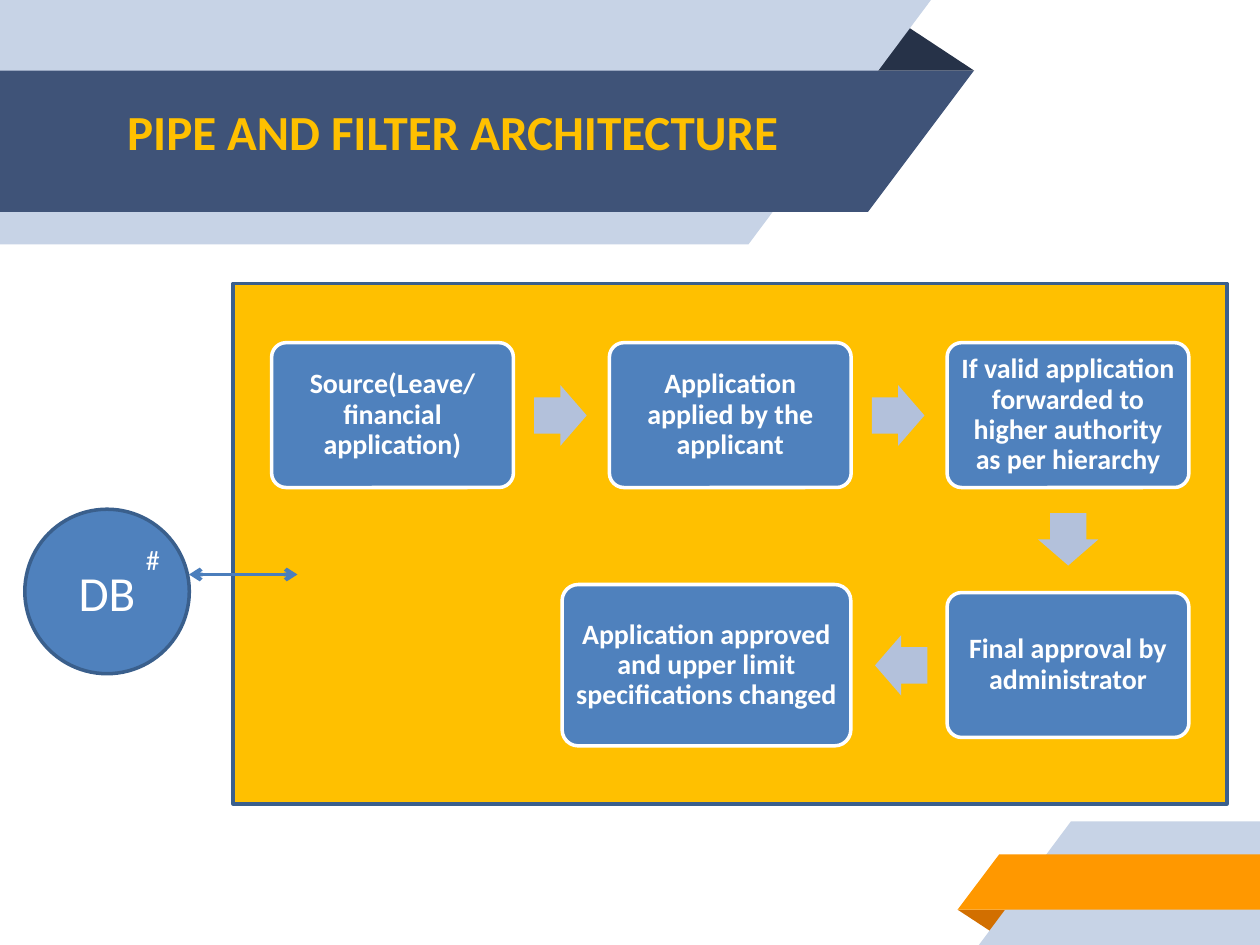
"""Build the pipe and filter architecture slide."""
from lxml import etree
from pptx import Presentation
from pptx.dml.color import RGBColor
from pptx.enum import shapes as kinds, text as layout
from pptx.oxml.ns import qn
from pptx.util import Pt


def color(value):
    """Turn a hex string into a colour."""
    return RGBColor.from_string(value)


def style(shape, fill, line=None, words="", inset=7.2, **font):
    """Paint a shape and set its centred text."""
    shape.shadow.inherit = False
    shape.fill.solid()
    shape.fill.fore_color.rgb = color(fill)
    if line:
        shape.line.color.rgb = color(line)
        shape.line.width = Pt(2)
    else:
        shape.line.fill.background()
    if words:
        frame = shape.text_frame
        frame.word_wrap = True
        frame.vertical_anchor = layout.MSO_ANCHOR.MIDDLE
        for side in ("left", "right", "top", "bottom"):
            setattr(frame, f"margin_{side}", Pt(inset))
        paragraph = frame.paragraphs[0]
        paragraph.text = words
        paragraph.alignment = layout.PP_ALIGN.CENTER
        paragraph.font.color.rgb = color("FFFFFF")
        for key, value in {"name": "Calibri", **font}.items():
            setattr(paragraph.font, key, value)


presentation = Presentation()
presentation.slide_width, presentation.slide_height = Pt(720), Pt(540)
slide = presentation.slides.add_slide(presentation.slide_layouts[5])
shapes = slide.shapes

ribbons = [
    ("263248", [(495.4, 40.3), (515.2, 13), (556.6, 40.3)]),
    ("C7D3E6", [(0, 0), (532, 0), (427.7, 139.7), (0, 139.7)]),
    ("3F5378", [(0, 40.3), (556.6, 40.3), (496.1, 121), (0, 121)]),
    ("D26F00", [(547.2, 519.8), (578.2, 519.8), (568.1, 533.5)]),
    ("C7D3E6", [(612, 469.4), (720, 469.4), (720, 540), (559.4, 540)]),
    ("FF9800", [(571, 488.2), (720, 488.2), (720, 519.8), (547.2, 519.8)]),
]
for fill, points in ribbons:
    (left, top), *rest = points
    builder = shapes.build_freeform(Pt(left), Pt(top), scale=1.0)
    builder.add_line_segments([(Pt(x), Pt(y)) for x, y in rest], close=True)
    style(builder.convert_to_shape(), fill)

title = shapes.title
shapes._spTree.append(title._element)
title.left, title.top, title.width, title.height = Pt(65.5), Pt(54.2), Pt(432.7), Pt(41)
title.text_frame.vertical_anchor = layout.MSO_ANCHOR.MIDDLE
paragraph = title.text_frame.paragraphs[0]
paragraph.text = "PIPE AND FILTER ARCHITECTURE"
paragraph.alignment = layout.PP_ALIGN.LEFT
paragraph.font.color.rgb = color("FFC000")
for key, value in {"name": "Calibri", "size": Pt(28), "bold": True}.items():
    setattr(paragraph.font, key, value)

panel = shapes.add_shape(kinds.MSO_SHAPE.RECTANGLE, Pt(133.2), Pt(162), Pt(568), Pt(297.4))
style(panel, "FFC000", "3A5F8C")
database = shapes.add_shape(kinds.MSO_SHAPE.OVAL, Pt(14.2), Pt(291), Pt(94), Pt(94))
style(database, "4F81BD", "3A5F8C", "DB", size=Pt(28))

column, pitch = 155.2, 193
top_row, bottom_row = 195.8, 338.6
width, height = 138.2, 82.8
steps = [
    ("Source(Leave/financial application)", column, top_row, width, height),
    ("Application applied by the applicant", column + pitch, top_row, width, height),
    ("If valid application forwarded to higher authority as per hierarchy",
     column + 2 * pitch, top_row, width, height),
    ("Final approval by administrator", column + 2 * pitch, bottom_row, width, height),
    ("Application approved and upper limit specifications changed", 321.2, 334, 165, 92.2),
]
for words, *box in steps:
    step = shapes.add_shape(kinds.MSO_SHAPE.ROUNDED_RECTANGLE, *map(Pt, box))
    step.adjustments[0] = 0.1
    style(step, "4F81BD", "FFFFFF", words, inset=4.6, size=Pt(16), bold=True)
    step.text_frame.paragraphs[0].line_spacing = 0.9

arrows = [(305.3, 220.1, 0), (305.3 + pitch, 220.1, 0), (595.4, 290.9, 90), (500, 362.9, 180)]
for left, top, angle in arrows:
    arrow = shapes.add_shape(kinds.MSO_SHAPE.RIGHT_ARROW, Pt(left), Pt(top), Pt(30), Pt(34.6))
    arrow.adjustments[0] = 0.6
    arrow.rotation = angle
    style(arrow, "B3C1DB")

link = shapes.add_connector(kinds.MSO_CONNECTOR.STRAIGHT, Pt(108), Pt(328.3), Pt(170), Pt(328.3))
link.line.color.rgb = color("4B7EBC")
link.line.width = Pt(2.25)
for end in ("headEnd", "tailEnd"):
    etree.SubElement(link.line._get_or_add_ln(), qn(f"a:{end}"), type="arrow")
etree.SubElement(link._element.spPr, qn("a:effectLst"))

key_mark = shapes.add_shape(kinds.MSO_SHAPE.RECTANGLE, Pt(76.3), Pt(311), Pt(17.3), Pt(17.3))
style(key_mark, "4F81BD", words="#", size=Pt(16))

presentation.save("out.pptx")
